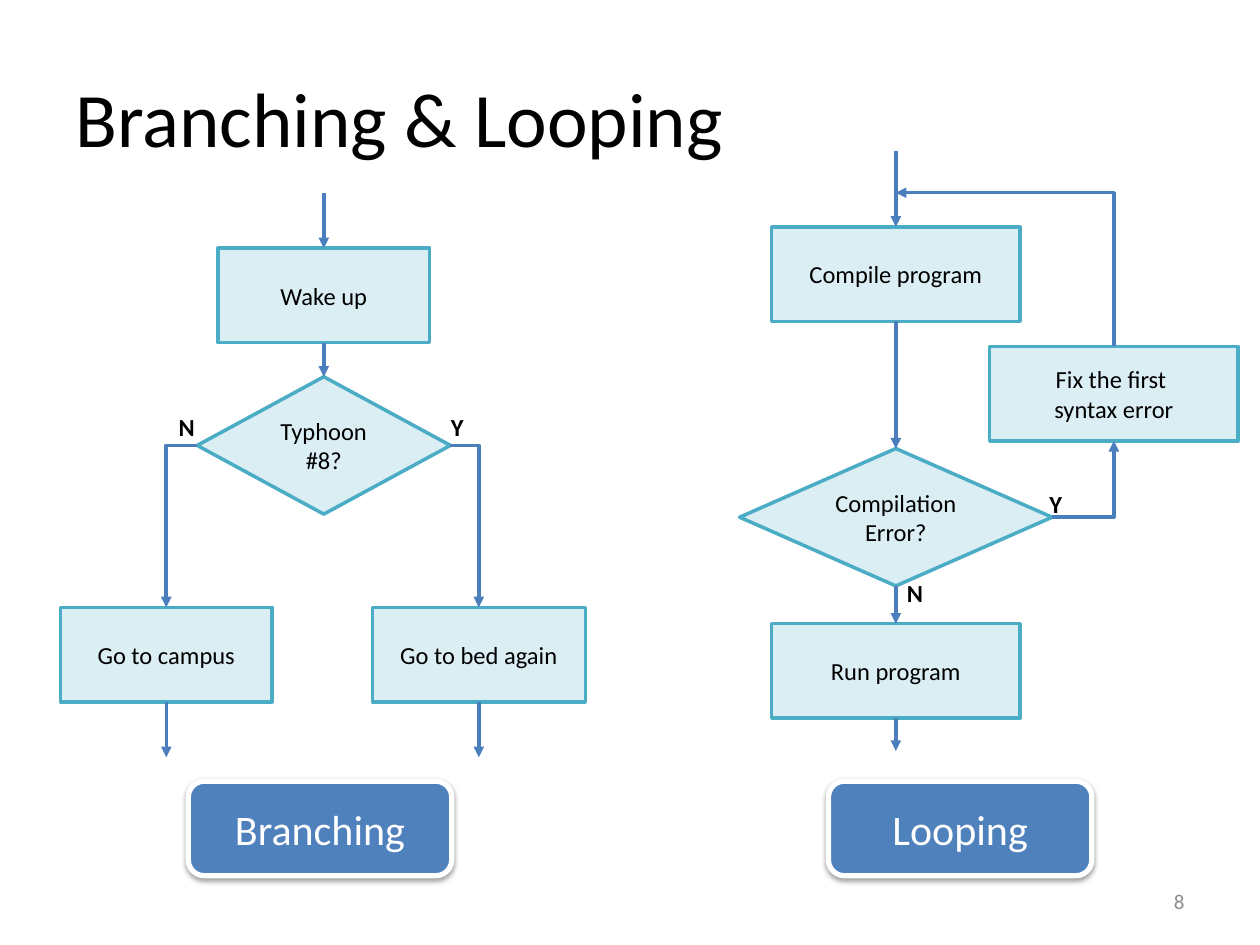
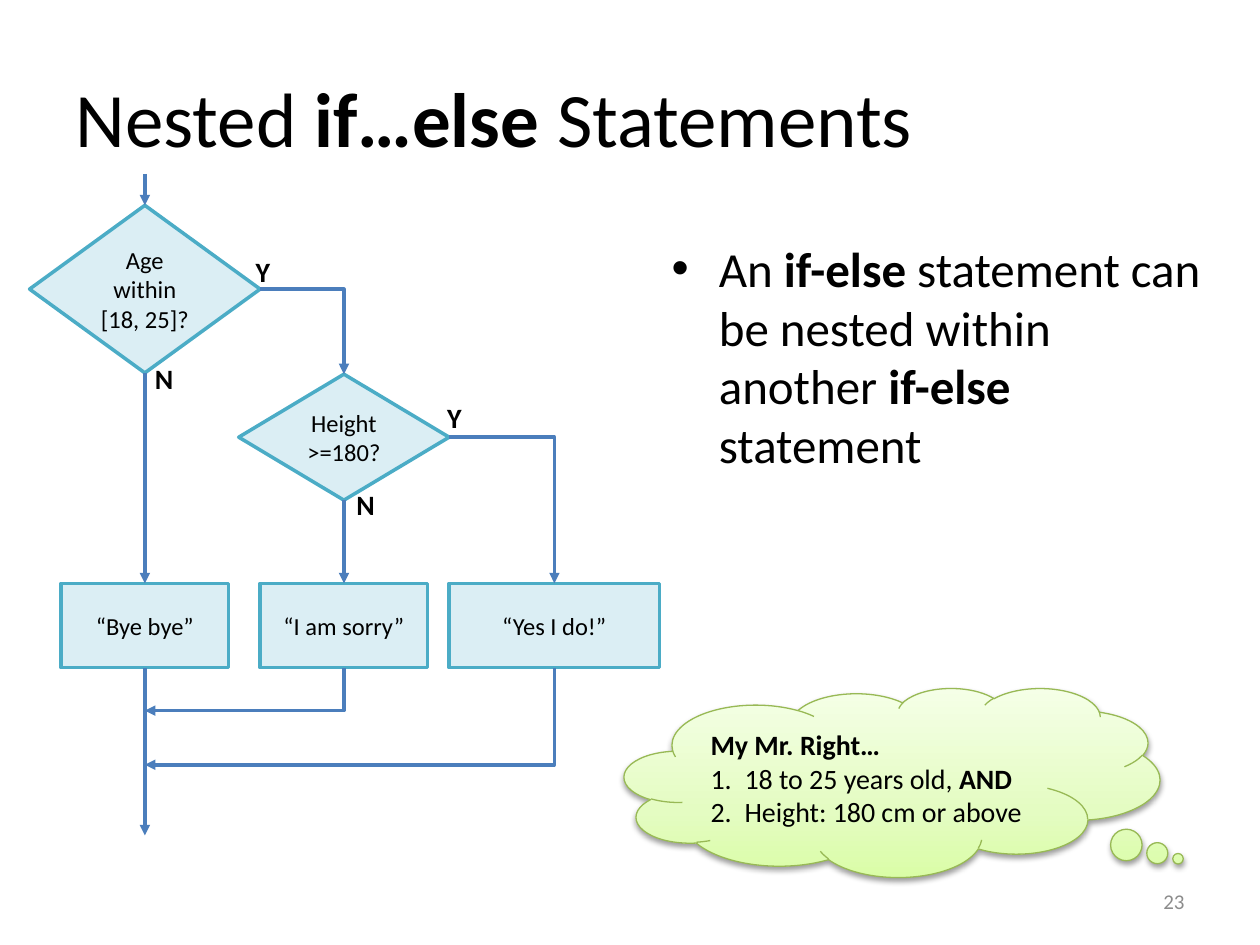
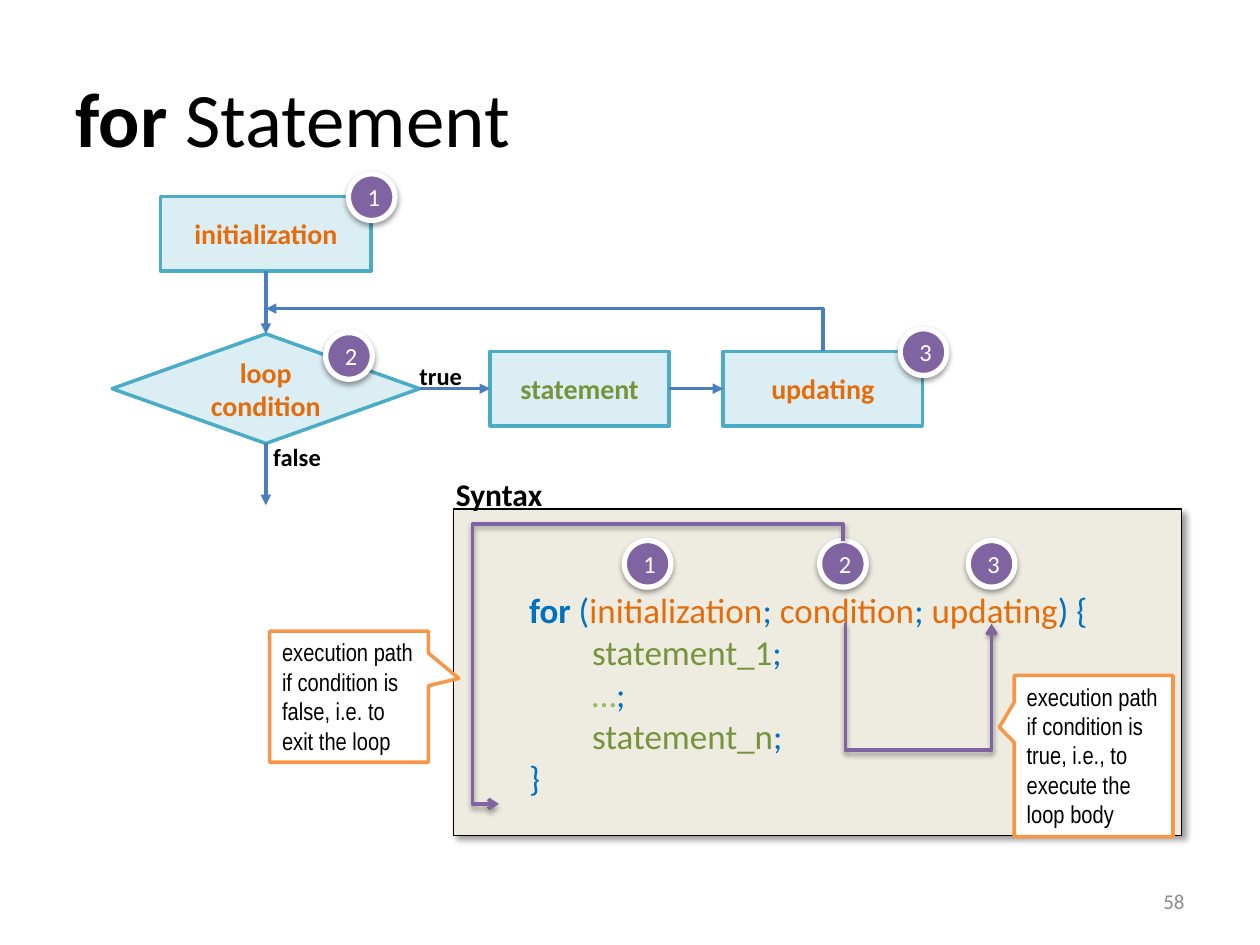
import copy

import lxml.etree
import pptx
import pptx.dml.color
import pptx.enum.shapes
import pptx.enum.text
import pptx.oxml.ns
import pptx.util

Inches, Pt = pptx.util.Inches, pptx.util.Pt
SHAPE = pptx.enum.shapes.MSO_SHAPE
CONNECTOR = pptx.enum.shapes.MSO_CONNECTOR
ALIGN = pptx.enum.text.PP_ALIGN
ANCHOR = pptx.enum.text.MSO_ANCHOR
qn = pptx.oxml.ns.qn

# ---- shared look -------------------------------------------------------
BLACK, WHITE, GREY = "000000", "FFFFFF", "8C8C8C"
PALE, TEAL, FLOW = "DBEEF4", "4BACC6", "4B7EBC"
BLUE, PURPLE, ORANGE = "4F81BD", "8064A2", "F79646"
CODE, PART, BODY, DOTS = "0070C0", "E46C0A", "77933C", "9BBB59"
CLOUD_STOPS = [(0, "DAFDA7"), (0.35, "E4FCC2"), (1, "F5FFE7")]

SOFT = {"alpha": 38, "blur": 3.1, "dist": 1.6, "dir": 90}  # percent, pt, pt, degrees
CAST = {"alpha": 40, "blur": 4, "dist": 3, "dir": 45}

TITLE_BOX = (0.5, 0.3, 9, 1.25)
NUMBER_BOX = (7.17, 6.95, 2.33, 0.4)
TITLE = {"size": 44}
NUMBER = {"size": 12, "color": GREY, "align": ALIGN.RIGHT}
CENTRED = {"size": 14, "align": ALIGN.CENTER}
NOTE = {"size": 14, "name": "Arial Narrow"}
B = {"bold": True}

# kind: preset, fill, line colour, line width, shadow, text format, anchor
KINDS = {
    "process": (SHAPE.FLOWCHART_PROCESS, PALE, TEAL, 2, None, CENTRED, ANCHOR.MIDDLE),
    "box": (SHAPE.RECTANGLE, PALE, TEAL, 2, None, CENTRED, ANCHOR.MIDDLE),
    "decision": (SHAPE.FLOWCHART_DECISION, PALE, TEAL, 2, None, CENTRED, ANCHOR.MIDDLE),
    "caption": (SHAPE.ROUNDED_RECTANGLE, BLUE, WHITE, 3, SOFT,
                {"size": 24, "color": WHITE, "align": ALIGN.CENTER}, ANCHOR.MIDDLE),
    "badge": (SHAPE.OVAL, PURPLE, WHITE, 3, SOFT, dict(CENTRED, color=WHITE), ANCHOR.MIDDLE),
    "cloud": (SHAPE.CLOUD_CALLOUT, CLOUD_STOPS, "98B955", 0.75, SOFT,
              {"size": 16, "align": ALIGN.LEFT}, ANCHOR.MIDDLE),
    "code": (SHAPE.RECTANGLE, "EEECE1", BLACK, 0.75, CAST,
             {"size": 20, "color": CODE, "align": ALIGN.LEFT}, ANCHOR.MIDDLE),
    "note": (SHAPE.RECTANGULAR_CALLOUT, WHITE, ORANGE, 2, None,
             dict(NOTE, align=ALIGN.LEFT), ANCHOR.TOP),
}

# ---- content -----------------------------------------------------------
# Text: a string, or a list of paragraphs, each a list of (words, format) runs.
# Node: kind, text, (centre x, top, width, height), optional extras.
# Link: ends as "node side" or (x, y); a corner is worked out where needed.


def part(text, color=PART):
    """Return bold coloured text for a step of the loop."""
    return [[(text, {"size": 16, "bold": True, "color": color})]]


BRANCHING = {
    "title": "Branching & Looping", "number": "8",
    "nodes": {
        "wake": ("process", "Wake up", (2.57, 1.97, 1.68, 0.75)),
        "typhoon": ("decision", "Typhoon #8?", (2.57, 2.99, 2.01, 1.09)),
        "bed": ("process", "Go to bed again", (3.8, 4.82, 1.69, 0.75)),
        "campus": ("process", "Go to campus", (1.32, 4.82, 1.68, 0.75)),
        "branching": ("caption", "Branching", (2.54, 6.2, 2.09, 0.75)),
        "looping": ("caption", "Looping", (7.62, 6.2, 2.09, 0.75)),
        "compile": ("process", "Compile program", (7.11, 1.8, 1.97, 0.75)),
        "error": ("decision", "Compilation Error?", (7.11, 3.56, 2.48, 1.09)),
        "fix": ("process", "Fix the first \nsyntax error", (8.84, 2.75, 1.97, 0.75)),
        "run": ("process", "Run program", (7.11, 4.95, 1.97, 0.75)),
    },
    "links": [
        [(2.57, 1.53), "wake top"], ["wake bottom", "typhoon top"],
        ["typhoon right", "bed top"], ["bed bottom", (3.8, 6.01)],
        ["typhoon left", "campus top"], ["campus bottom", (1.32, 6.01)],
        [(7.11, 1.2), "compile top"], ["compile bottom", "error top"],
        ["error bottom", "run top"], ["error right", "fix bottom"],
        ["fix top", (7.11, 1.53)], ["run bottom", (7.11, 5.96)],
    ],
    "labels": [("Y", 14, (3.48, 3.22, 0.3, 0.34)), ("N", 14, (1.32, 3.22, 0.33, 0.34)),
               ("Y", 14, (8.23, 3.83, 0.3, 0.34)), ("N", 14, (7.1, 4.54, 0.33, 0.34))],
}

NESTED = {
    "title": [[("Nested ", {}), ("if…else ", B), ("Statements", {})]], "number": "23",
    "body": ([[("An ", {}), ("if-else ", B),
               ("statement can be nested within another ", {}),
               ("if-else", B), (" statement", {})]], (5.23, 1.84, 4.47, 4.98)),
    "nodes": {
        "age": ("decision", "Age within [18, 25]?", (1.15, 1.63, 1.83, 1.33)),
        "height": ("decision", "Height >=180?", (2.73, 2.97, 1.67, 1)),
        "bye": ("box", "“Bye bye”", (1.15, 4.63, 1.33, 0.67)),
        "sorry": ("box", "“I am sorry”", (2.73, 4.63, 1.33, 0.67)),
        "yes": ("box", "“Yes I do!”", (4.4, 4.63, 1.67, 0.67)),
        "wish": ("cloud", [[("My Mr. Right…", B)],
                           [("18 to 25 years old, ", {}), ("AND", B)],
                           [("Height: 180 cm or above", {})]],
                 (7.08, 5.46, 4.25, 1.5),
                 {"adjust": (0.534, 0.404), "indents": (0, 0.27, 0.27), "numbered": True}),
    },
    "links": [
        [(1.15, 1.38), "age top"], ["age bottom", "bye top"], ["bye bottom", (1.15, 6.63)],
        ["age right", "height top"], ["height bottom", "sorry top"],
        ["height right", "yes top"], ["sorry bottom", (1.15, 5.64)],
        ["yes bottom", (1.15, 6.07)],
    ],
    "labels": [("N", 16, (1.13, 2.82, 0.35, 0.37)), ("Y", 16, (1.93, 1.97, 0.34, 0.37)),
               ("Y", 16, (3.45, 3.13, 0.34, 0.37)), ("N", 16, (2.73, 3.82, 0.35, 0.37))],
}

SYNTAX = [
    [("for", B), (" (", {}), ("initialization", {"color": PART}), ("; ", {}),
     ("condition", {"color": PART}), ("; ", {}), ("updating", {"color": PART}), (") {", {})],
    [("statement_1", {"color": BODY}), (";", {})],
    [("…", {"color": DOTS}), (";", {})],
    [("statement_n", {"color": BODY}), (";", {})],
    [("}", {})],
]
BADGES = [("1", 2.95, 1.38), ("1", 5.14, 4.29), ("2", 2.77, 2.64),
          ("2", 6.69, 4.29), ("3", 7.87, 4.29), ("3", 7.33, 2.61)]

FOR_LOOP = {
    "title": [[("for", B), (" Statement", {})]], "number": "58",
    "nodes": {
        "condition": ("decision", part("loop condition"), (2.11, 2.65, 2.44, 0.87)),
        "statement": ("process", part("statement", BODY), (4.6, 2.79, 1.42, 0.59)),
        "start": ("process", part("initialization"), (2.11, 1.56, 1.67, 0.59)),
        "updating": ("process", part("updating"), (6.53, 2.79, 1.58, 0.59)),
        "syntax": ("code", SYNTAX, (6.49, 4.04, 5.78, 2.59),
                   {"indents": (0.5, 1, 1, 1, 0.5), "margin_top": 0.38}),
        **{f"badge {i}": ("badge", n, (x, y, 0.37, 0.37))
           for i, (n, x, y) in enumerate(BADGES)},
        "true path": ("note", "execution path if condition is true, i.e., to execute "
                      "the loop body", (8.68, 5.36, 1.26, 1.28),
                      {"adjust": (-0.594, -0.178)}),
        "false path": ("note", "execution path if condition is false, i.e. to exit "
                       "the loop", (2.77, 5.01, 1.26, 1.04), {"adjust": (0.692, -0.14)}),
    },
    "links": [
        ["start bottom", "condition top"], ["updating top", (2.11, 2.45)],
        ["condition bottom", (2.11, 4.01)], ["condition right", "statement left"],
        ["statement right", "updating left"],
    ],
    "traces": [
        [(6.71, 4.94), (6.71, 5.97), (7.87, 5.97), (7.87, 4.95)],
        [(6.69, 4.29), (6.69, 4.16), (3.75, 4.16), (3.75, 6.38), (3.96, 6.38)],
    ],
    "labels": [("true", 14, (3.23, 2.82, 0.54, 0.34)), ("false", 14, (2.07, 3.46, 0.58, 0.34)),
               ("Syntax", 18, (3.52, 3.72, 0.89, 0.4))],
}


# ---- drawing -----------------------------------------------------------
def rgb(value):
    """Turn a hex string into a colour."""
    return pptx.dml.color.RGBColor.from_string(value)


def place(sp, box):
    """Move and size a shape, in inches."""
    for name, value in zip(("left", "top", "width", "height"), box):
        setattr(sp, name, Inches(value))


def write(tf, text, base):
    """Fill a text frame with formatted paragraphs and runs."""
    paras = [[(text, {})]] if isinstance(text, str) else text
    for i, runs in enumerate(paras):
        p = tf.paragraphs[0] if i == 0 else tf.add_paragraph()
        p.alignment = base.get("align", ALIGN.LEFT)
        for words, own in runs:
            for j, line in enumerate(words.split("\n")):
                if j:
                    p.add_line_break()
                r = p.add_run()
                r.text = line
                fmt = {"name": "Calibri", "bold": False, "color": BLACK, **base, **own}
                fmt["size"] = Pt(fmt["size"])
                r.font.color.rgb = rgb(fmt["color"])
                for name in ("name", "size", "bold"):
                    setattr(r.font, name, fmt[name])


def cast_shadow(effects, shadow):
    """Put an outer shadow into an effect list."""
    node = lxml.etree.SubElement(effects, qn("a:outerShdw"), {
        "blurRad": str(Pt(shadow["blur"])), "dist": str(Pt(shadow["dist"])),
        "dir": str(shadow["dir"] * 60000), "rotWithShape": "0"})
    color = lxml.etree.SubElement(node, qn("a:srgbClr"), val=BLACK)
    lxml.etree.SubElement(color, qn("a:alpha"), val=str(shadow["alpha"] * 1000))


def paint(sp, fill):
    """Fill a shape with one colour or with upward gradient stops."""
    if isinstance(fill, str):
        sp.fill.solid()
        sp.fill.fore_color.rgb = rgb(fill)
        return
    sp.fill.gradient()
    sp.fill.gradient_angle = 90
    stops = sp._element.spPr.find(".//" + qn("a:gsLst"))
    while len(stops) < len(fill):
        stops.append(copy.deepcopy(stops[0]))
    for stop, (position, color) in zip(sp.fill.gradient_stops, fill):
        stop.position = position
        stop.color.rgb = rgb(color)


def indent(tf, indents, numbered):
    """Indent paragraphs, numbering the indented ones if asked."""
    for p, left in zip(tf.paragraphs, indents):
        pPr = p._p.get_or_add_pPr()
        pPr.set("marL", str(Inches(left)))
        if numbered and left:
            pPr.set("indent", str(-Inches(left)))
            lxml.etree.SubElement(pPr, qn("a:buAutoNum"), type="arabicPeriod")


def add_node(slide, kind, text, spot, extras=None):
    """Draw one shape of a known kind around its centre line."""
    extras = extras or {}
    preset, fill, line, width, shadow, fmt, anchor = KINDS[kind]
    cx, top, w, h = spot
    sp = slide.shapes.add_shape(preset, 0, 0, 0, 0)
    place(sp, (cx - w / 2, top, w, h))
    paint(sp, fill)
    sp.line.color.rgb = rgb(line)
    sp.line.width = Pt(width)
    sp.shadow.inherit = False
    if shadow:
        cast_shadow(sp._element.spPr.find(qn("a:effectLst")), shadow)
    for i, value in enumerate(extras.get("adjust", ())):
        sp.adjustments[i] = value
    tf = sp.text_frame
    tf.word_wrap = True
    tf.vertical_anchor = anchor
    tf.margin_top = Inches(extras.get("margin_top", 0.05))
    write(tf, text, fmt)
    indent(tf, extras.get("indents", ()), extras.get("numbered", False))


def port(nodes, end):
    """Return the point of a link end."""
    if not isinstance(end, str):
        return end
    name, side = end.rsplit(" ", 1)
    cx, top, w, h = nodes[name][2]
    return {"top": (cx, top), "bottom": (cx, top + h),
            "left": (cx - w / 2, top + h / 2), "right": (cx + w / 2, top + h / 2)}[side]


def corners(nodes, link):
    """Return the points of a link, with its corner if it turns."""
    (x1, y1), (x2, y2) = start, end = [port(nodes, e) for e in link]
    if min(abs(x1 - x2), abs(y1 - y2)) < 0.01:
        return [start, end]
    sideways = link[0].endswith(("left", "right"))
    return [start, (x2, y1) if sideways else (x1, y2), end]


def add_route(slide, points, color=FLOW, head="triangle", shadow=None):
    """Draw a straight or bent connector through right-angled points."""
    (x1, y1), (x2, y2) = points[0], points[-1]
    dx, dy = x2 - x1, y2 - y1
    bends = len(points) - 2
    upright = bends > 0 and points[0][0] == points[1][0]
    begin, end = (x1, y1), (x2, y2)
    if upright:  # lay the route on its side, then turn it about its centre
        cx, cy = (x1 + x2) / 2, (y1 + y2) / 2
        half = abs(dy) / 2
        rise = -dx / 2 if dy > 0 else dx / 2
        begin, end = (cx - half, cy - rise), (cx + half, cy + rise)
    c = slide.shapes.add_connector(CONNECTOR.ELBOW if bends else CONNECTOR.STRAIGHT,
                                   *[Inches(v) for v in begin + end])
    spPr = c._element.spPr
    if upright:
        spPr.find(qn("a:xfrm")).set("rot", str((90 if dy > 0 else 270) * 60000))
    if bends:
        geom = spPr.find(qn("a:prstGeom"))
        geom.set("prst", f"bentConnector{bends + 1}")
        guides = geom.find(qn("a:avLst"))
        if guides is None:
            guides = lxml.etree.SubElement(geom, qn("a:avLst"))
        for i in range(1, bends):
            axis = (i + upright + 1) % 2
            share = (points[i][axis] - points[0][axis]) / (dx, dy)[axis]
            lxml.etree.SubElement(guides, qn("a:gd"), name=f"adj{i}",
                                  fmla=f"val {round(share * 100000)}")
    c.line.color.rgb = rgb(color)
    c.line.width = Pt(2)
    lxml.etree.SubElement(spPr.find(qn("a:ln")), qn("a:tailEnd"), type=head)
    effects = lxml.etree.SubElement(spPr, qn("a:effectLst"))
    if shadow:
        cast_shadow(effects, shadow)


def add_text(slide, text, box, fmt, wrap=False, anchor=ANCHOR.TOP):
    """Add a text box."""
    sp = slide.shapes.add_textbox(*[Inches(v) for v in box])
    sp.text_frame.word_wrap = wrap
    sp.text_frame.vertical_anchor = anchor
    write(sp.text_frame, text, fmt)


def add_slide(prs, page):
    """Build one slide from its content."""
    slide = prs.slides.add_slide(prs.slide_layouts[1 if "body" in page else 5])
    title = slide.shapes.title
    place(title, TITLE_BOX)
    title.text_frame.vertical_anchor = ANCHOR.MIDDLE
    write(title.text_frame, page["title"], TITLE)
    if "body" in page:
        text, box = page["body"]
        body = slide.placeholders[1]
        place(body, box)
        write(body.text_frame, text, {"size": 28})
    for node in page["nodes"].values():
        add_node(slide, *node)
    for link in page["links"]:
        add_route(slide, corners(page["nodes"], link))
    for points in page.get("traces", []):
        add_route(slide, points, PURPLE, "arrow", SOFT)
    for text, size, box in page["labels"]:
        add_text(slide, text, box, {"size": size, "bold": True})
    add_text(slide, page["number"], NUMBER_BOX, NUMBER, True, ANCHOR.MIDDLE)


prs = pptx.Presentation()
prs.slide_width, prs.slide_height = Inches(10), Inches(7.5)
for page in (BRANCHING, NESTED, FOR_LOOP):
    add_slide(prs, page)
prs.save("out.pptx")
